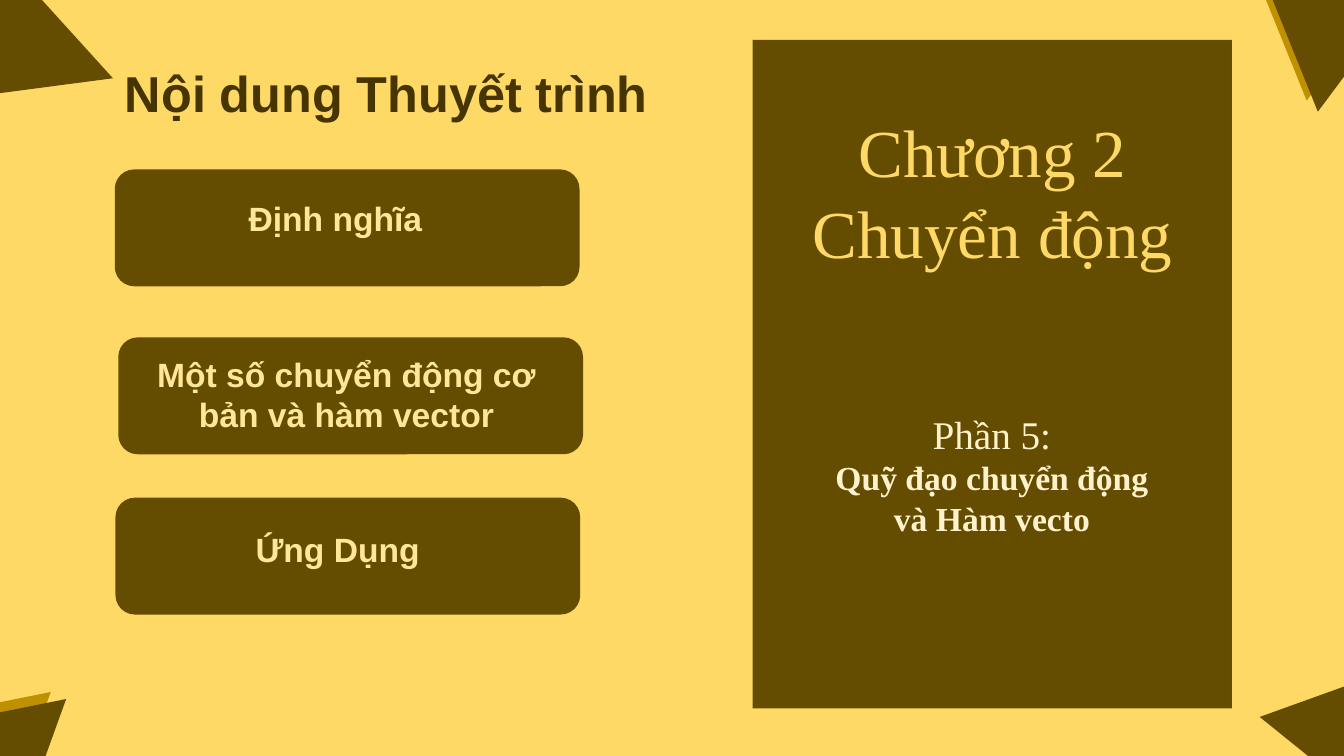
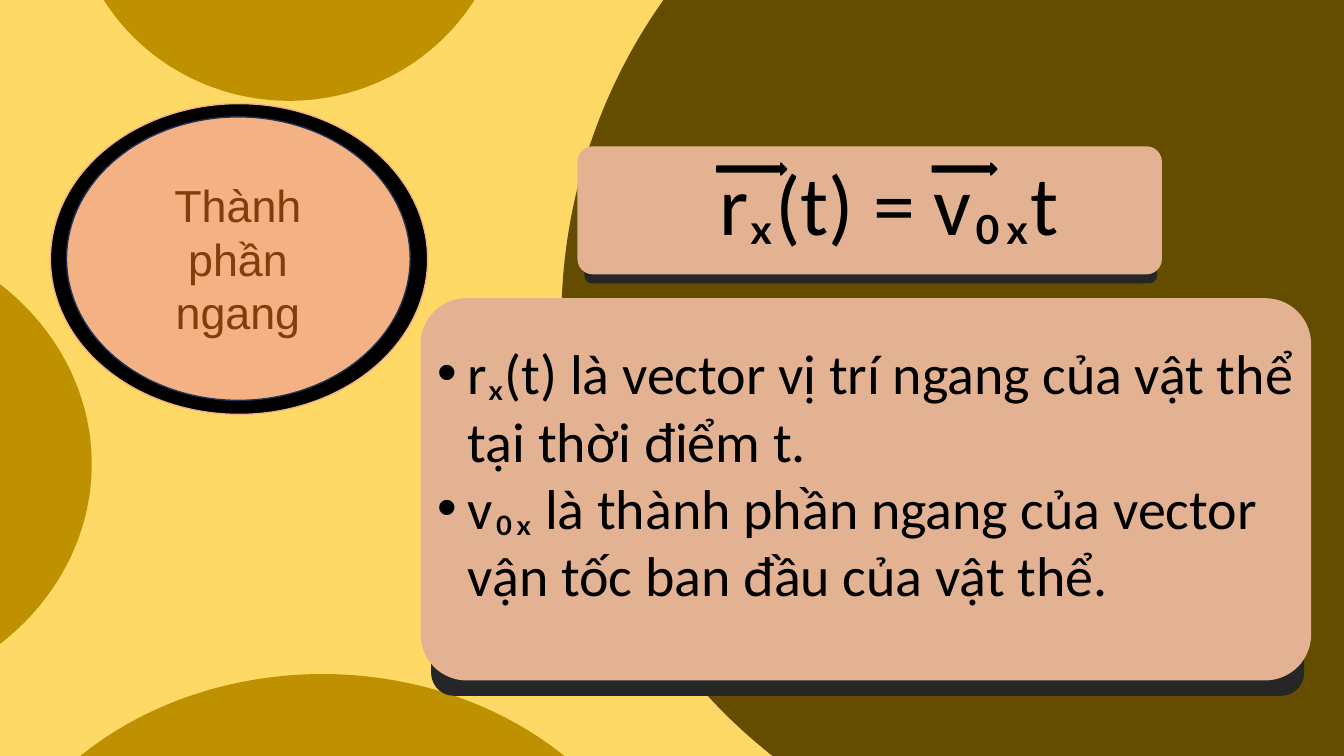
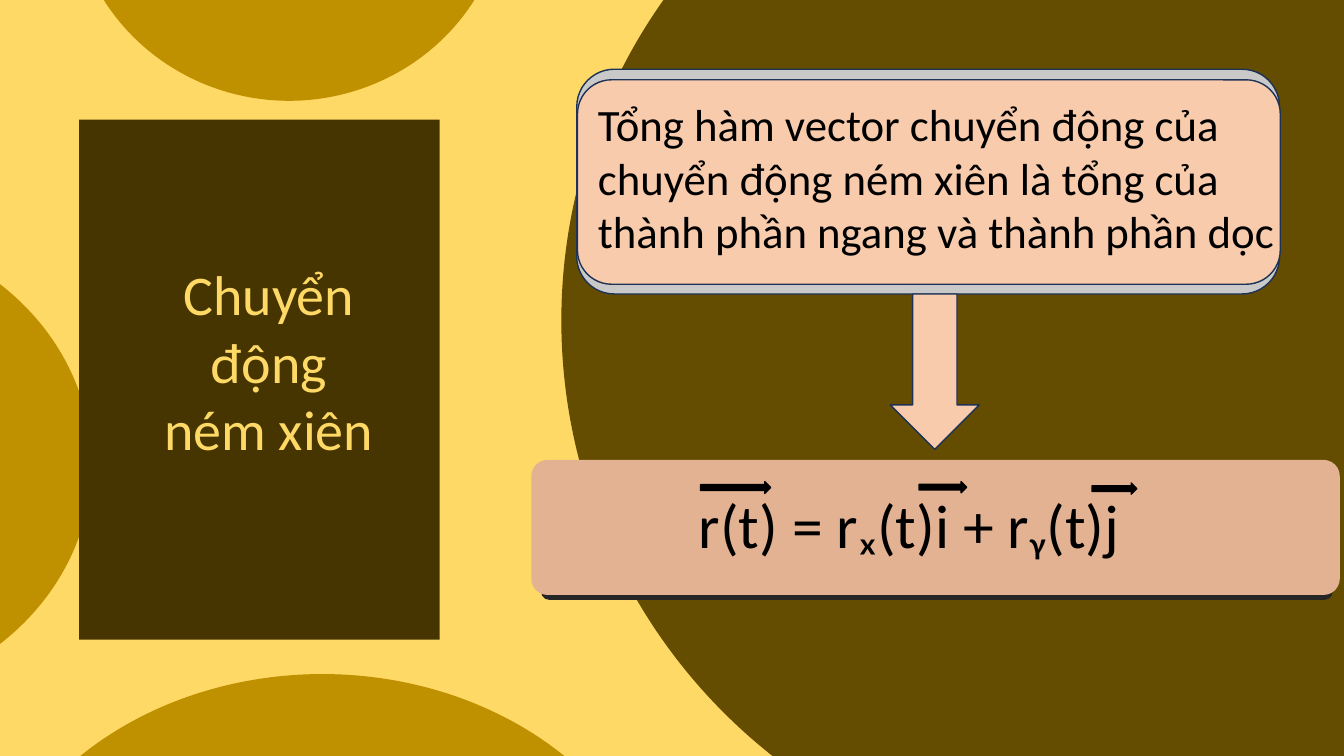
"""Build three slides on trajectories and vector functions."""
from typing import NamedTuple

import pptx
import pptx.dml.color
import pptx.enum.shapes
import pptx.enum.text
import pptx.util

Pt = pptx.util.Pt
SHAPE = pptx.enum.shapes.MSO_SHAPE
ALIGN = pptx.enum.text.PP_ALIGN
ANCHOR = pptx.enum.text.MSO_ANCHOR

COLORS = {
    "sand": "FFD966", "brown": "644C00", "gold": "BF9000", "umber": "463500",
    "cream": "FFE699", "ivory": "FFF2CC", "black": "000000", "charcoal": "262626",
    "clay": "E2B292", "peach": "F8CBAD", "apricot": "F4B183", "rust": "843C0B",
    "navy": "1E3256", "silver": "C9C9C9",
}


class Box(NamedTuple):
    left: float
    top: float
    width: float
    height: float


class Corner(NamedTuple):
    left: float
    top: float
    rotation: float
    color: str
    width: float = 96
    height: float = 79


class Topic(NamedTuple):
    label: str
    left: float
    top: float
    label_box: Box
    align: ALIGN


class Card(NamedTuple):
    shade: Box
    face: Box


CORNERS = [
    Corner(-58, -31, 352.5, "brown", 133, 96),
    Corner(914, 472, 38.9, "brown"),
    Corner(904, -27, 68, "gold"),
    Corner(912, -19, 68, "brown"),
    Corner(-51, 503, 168.6, "gold"),
    Corner(-40, 508, 168.6, "brown"),
]
TOPICS = [
    Topic("Định nghĩa", 82, 121, Box(170.5, 137.5, 240, 36), ALIGN.LEFT),
    Topic("Một số chuyển động cơ bản và hàm vector", 84.5, 241,
          Box(83, 249, 329, 65.5), ALIGN.CENTER),
    Topic("Ứng Dụng", 82.5, 355.5, Box(175.5, 374.5, 150, 36), ALIGN.LEFT),
]
CIRCLES = [
    Box(51, -231, 311, 303),
    Box(-314, 161.5, 379.5, 340),
    Box(-19, 481.5, 498.5, 418.5),
]


def color(name: str) -> pptx.dml.color.RGBColor:
    return pptx.dml.color.RGBColor.from_string(COLORS[name])


def draw(slide, kind: SHAPE, box: Box, fill: str, line: str | None = None,
         rotation: float = 0, corner: float | None = None) -> None:
    shape = slide.shapes.add_shape(kind, *map(Pt, box))
    shape.shadow.inherit = False
    shape.rotation = rotation
    shape.fill.solid()
    shape.fill.fore_color.rgb = color(fill)
    if line:
        shape.line.color.rgb = color(line)
        shape.line.width = Pt(1)
    else:
        shape.line.fill.background()
    if corner is not None:
        shape.adjustments[0] = corner


def write(frame, text: str, *, size: float, ink: str, font: str = "Calibri",
          bold: bool = False, align: ALIGN = ALIGN.LEFT,
          anchor: ANCHOR = ANCHOR.TOP, hanging: float = 0) -> None:
    frame.word_wrap = True
    frame.auto_size = pptx.enum.text.MSO_AUTO_SIZE.NONE
    frame.vertical_anchor = anchor
    for line in text.split("\n"):
        paragraph = frame.paragraphs[0] if not frame.text else frame.add_paragraph()
        paragraph.alignment = align
        paragraph.space_before = Pt(0)
        if hanging:
            properties = paragraph._p.get_or_add_pPr()
            properties.set("marL", str(Pt(hanging)))
            properties.set("indent", str(-Pt(hanging)))
        run = paragraph.add_run()
        run.text = line
        run.font.name = font
        run.font.size = Pt(size)
        run.font.bold = bold
        run.font.color.rgb = color(ink)


def text_area(slide, box: Box):
    area = slide.shapes.add_textbox(*map(Pt, box))
    return area.text_frame


def raise_placeholder(placeholder, box: Box):
    placeholder.left, placeholder.top, placeholder.width, placeholder.height = map(Pt, box)
    placeholder.element.getparent().append(placeholder.element)
    return placeholder.text_frame


def draw_card(slide, card: Card) -> None:
    draw(slide, SHAPE.ROUNDED_RECTANGLE, card.shade, "charcoal", corner=0.06)
    draw(slide, SHAPE.ROUNDED_RECTANGLE, card.face, "clay", corner=0.12)


def draw_circles(slide) -> None:
    draw(slide, SHAPE.ROUNDED_RECTANGLE, Box(401, -167, 848, 792), "brown", corner=0.5)
    for circle in CIRCLES:
        draw(slide, SHAPE.OVAL, circle, "gold")


def draw_vector_marks(slide, marks: list[Box]) -> None:
    for mark in marks:
        draw(slide, SHAPE.RIGHT_ARROW, mark, "black", line="black")


def build_contents(slide) -> None:
    for corner in CORNERS:
        draw(slide, SHAPE.ISOSCELES_TRIANGLE,
             Box(corner.left, corner.top, corner.width, corner.height),
             corner.color, rotation=corner.rotation)
    draw(slide, SHAPE.RECTANGLE, Box(537.5, 28.5, 342.5, 477.5), "brown")
    write(raise_placeholder(slide.shapes.title, Box(82, 41, 410, 51)),
          "Nội dung Thuyết trình", size=36, ink="umber", font="Arial", bold=True)
    for topic in TOPICS:
        draw(slide, SHAPE.ROUNDED_RECTANGLE, Box(topic.left, topic.top, 332, 83.5), "brown")
        write(text_area(slide, topic.label_box), topic.label, size=24, ink="cream",
              font="Arial", bold=True, align=topic.align)
    write(text_area(slide, Box(567.5, 75.5, 283, 124)), "Chương 2\nChuyển động",
          size=48, ink="sand", font="Times New Roman", align=ALIGN.CENTER)
    part = text_area(slide, Box(582.5, 289.5, 252, 121))
    write(part, "Phần 5:", size=28, ink="ivory", font="Times New Roman",
          align=ALIGN.CENTER)
    write(part, "Quỹ đạo chuyển động và Hàm vecto", size=24, ink="ivory",
          font="Times New Roman", bold=True, align=ALIGN.CENTER)


def build_horizontal(slide) -> None:
    draw_circles(slide)
    draw_card(slide, Card(Box(308, 224, 623.5, 273), Box(300.5, 213, 636, 273)))
    draw_card(slide, Card(Box(417.5, 111, 409, 91.5), Box(412.5, 104.5, 417.5, 91.5)))
    write(text_area(slide, Box(507, 104.5, 310, 80)), "rₓ(t) = v₀ₓt",
          size=60, ink="black")
    write(raise_placeholder(slide.placeholders[1], Box(305, 238.5, 640, 235)),
          "rₓ(t) là vector vị trí ngang của vật thể tại thời điểm t.\n"
          "v₀ₓ là thành phần ngang của vector vận tốc ban đầu của vật thể.",
          size=40, ink="black", hanging=22)
    draw(slide, SHAPE.OVAL, Box(36, 74, 269.5, 222), "black", line="apricot")
    draw(slide, SHAPE.OVAL, Box(47.5, 83.5, 245.5, 202.5), "apricot", line="navy")
    write(raise_placeholder(slide.shapes.title, Box(90, 113, 160, 143)),
          "Thành phần ngang", size=32, ink="rust", font="Arial",
          align=ALIGN.CENTER, anchor=ANCHOR.MIDDLE)
    draw_vector_marks(slide, [Box(512, 116.5, 50, 8.5), Box(666, 116.5, 46, 8.5)])


def build_projectile(slide) -> None:
    draw_circles(slide)
    draw(slide, SHAPE.RECTANGLE, Box(56.5, 85.5, 257.5, 371.5), "umber")
    draw_card(slide, Card(Box(386.5, 332, 565.5, 96.5), Box(379.5, 328.5, 577.5, 96.5)))
    write(raise_placeholder(slide.shapes.title, Box(108.5, 182, 167, 153)),
          "Chuyển động\nném xiên", size=40, ink="sand", align=ALIGN.CENTER)
    write(text_area(slide, Box(492, 344, 400, 62)), "r(t) = rₓ(t)i + rᵧ(t)j",
          size=44, ink="black")
    draw(slide, SHAPE.ROUNDED_RECTANGLE, Box(412, 49.5, 502, 160.5), "silver", line="navy")
    draw(slide, SHAPE.ROUNDED_RECTANGLE, Box(412.5, 57, 502, 146), "peach", line="navy")
    write(text_area(slide, Box(420, 65.5, 512, 125)),
          "Tổng hàm vector chuyển động của chuyển động ném xiên là tổng của "
          "thành phần ngang và thành phần dọc", size=32, ink="black")
    draw(slide, SHAPE.DOWN_ARROW, Box(636, 210, 63.5, 111), "peach", line="navy")
    draw_vector_marks(slide, [Box(500.5, 344, 50, 8.5), Box(780, 345, 32, 8),
                              Box(656.5, 344, 34, 8)])


def main() -> None:
    deck = pptx.Presentation()
    deck.slide_width, deck.slide_height = Pt(960), Pt(540)
    backdrop = deck.slide_master.background.fill
    backdrop.solid()
    backdrop.fore_color.rgb = color("sand")
    title_and_list, title_only = deck.slide_layouts[1], deck.slide_layouts[5]
    build_contents(deck.slides.add_slide(title_only))
    build_horizontal(deck.slides.add_slide(title_and_list))
    build_projectile(deck.slides.add_slide(title_only))
    deck.save("out.pptx")


if __name__ == "__main__":
    main()
